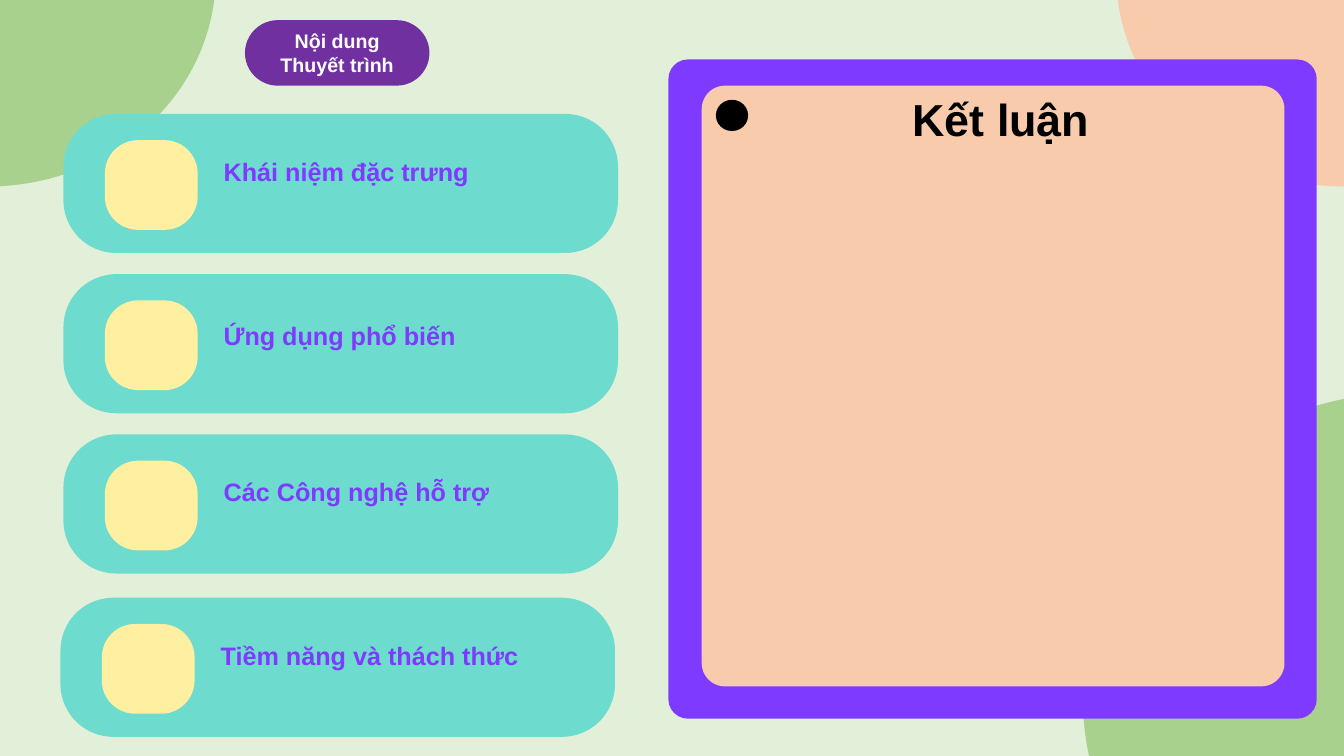
from pptx import Presentation
from pptx.dml.color import RGBColor
from pptx.enum.shapes import MSO_SHAPE
from pptx.enum.text import MSO_ANCHOR, MSO_AUTO_SIZE, PP_ALIGN

ELLIPSE, ROUNDED = MSO_SHAPE.OVAL, MSO_SHAPE.ROUNDED_RECTANGLE
TOP, MIDDLE = MSO_ANCHOR.TOP, MSO_ANCHOR.MIDDLE
LEFT, CENTER = PP_ALIGN.LEFT, PP_ALIGN.CENTER
NO_AUTOFIT = MSO_AUTO_SIZE.NONE

PX = 9144
POINT = 12700
SLIDE_SIZE = (1333, 750)
FONT = "Arial"
BACKGROUND, GREEN, PEACH = "E2F0D9", "A9D18E", "F8CBAD"
TEAL, YELLOW, VIOLET, PURPLE = "6DDCCF", "FFEFA1", "7E3BFF", "7030A0"
BLACK, WHITE = "000000", "FFFFFF"

CORNER_CIRCLES = [
    ((1107, -235, 452, 420), PEACH),
    ((1074, 388, 667, 608), GREEN),
    ((-238, -234, 452, 419), GREEN),
]
HEADING = "Nội dung Thuyết trình"
TOPICS = [
    ("Khái niệm đặc trưng", 63, 113, 37),
    ("Ứng dụng phổ biến", 63, 272, 41),
    ("Các Công nghệ hỗ trợ", 63, 431, 37),
    ("Tiềm năng và thách thức", 60, 593, 37),
]
CONCLUSION = "Kết luận"


def color(value):
    return RGBColor.from_string(value)


def box(bounds):
    return [length * PX for length in bounds]


def add_filled(slide, kind, bounds, fill, roundness=None):
    shape = slide.shapes.add_shape(kind, *box(bounds))
    shape.shadow.inherit = False
    shape.fill.solid()
    shape.fill.fore_color.rgb = color(fill)
    shape.line.fill.background()
    if roundness is not None:
        shape.adjustments[0] = roundness
    return shape


def write(shape, text, size, font_color, align=LEFT, anchor=TOP):
    frame = shape.text_frame
    frame.word_wrap = True
    frame.auto_size = NO_AUTOFIT
    frame.vertical_anchor = anchor
    paragraph = frame.paragraphs[0]
    paragraph.alignment = align
    run = paragraph.add_run()
    run.text = text
    run.font.name = FONT
    run.font.size = size * POINT
    run.font.bold = True
    run.font.color.rgb = color(font_color)


def add_topic(slide, text, left, top, text_offset):
    add_filled(slide, ROUNDED, (left, top, 550, 138), TEAL, 0.38)
    add_filled(slide, ROUNDED, (left + 41, top + 26, 92, 89), YELLOW, 0.37)
    label = slide.shapes.add_textbox(*box((left + 149, top + text_offset, 316, 40)))
    write(label, text, 18, VIOLET)


def add_conclusion(slide):
    add_filled(slide, ROUNDED, (663, 59, 643, 654), VIOLET, 0.03)
    add_filled(slide, ROUNDED, (696, 85, 578, 596), PEACH, 0.04)
    add_filled(slide, ELLIPSE, (710, 99, 32, 31), BLACK)
    title = slide.shapes.title
    title.left, title.top, title.width, title.height = box((895, 86, 209, 64))
    write(title, CONCLUSION, 32, BLACK)
    title.element.getparent().append(title.element)


def main():
    presentation = Presentation()
    presentation.slide_width, presentation.slide_height = box(SLIDE_SIZE)
    slide = presentation.slides.add_slide(presentation.slide_layouts[5])
    slide.background.fill.solid()
    slide.background.fill.fore_color.rgb = color(BACKGROUND)

    for bounds, fill in CORNER_CIRCLES:
        add_filled(slide, ELLIPSE, bounds, fill)
    for topic in TOPICS:
        add_topic(slide, *topic)
    heading = add_filled(slide, ROUNDED, (243, 20, 183, 65), PURPLE, 0.5)
    write(heading, HEADING, 14, WHITE, align=CENTER, anchor=MIDDLE)
    add_conclusion(slide)

    presentation.save("out.pptx")


if __name__ == "__main__":
    main()
